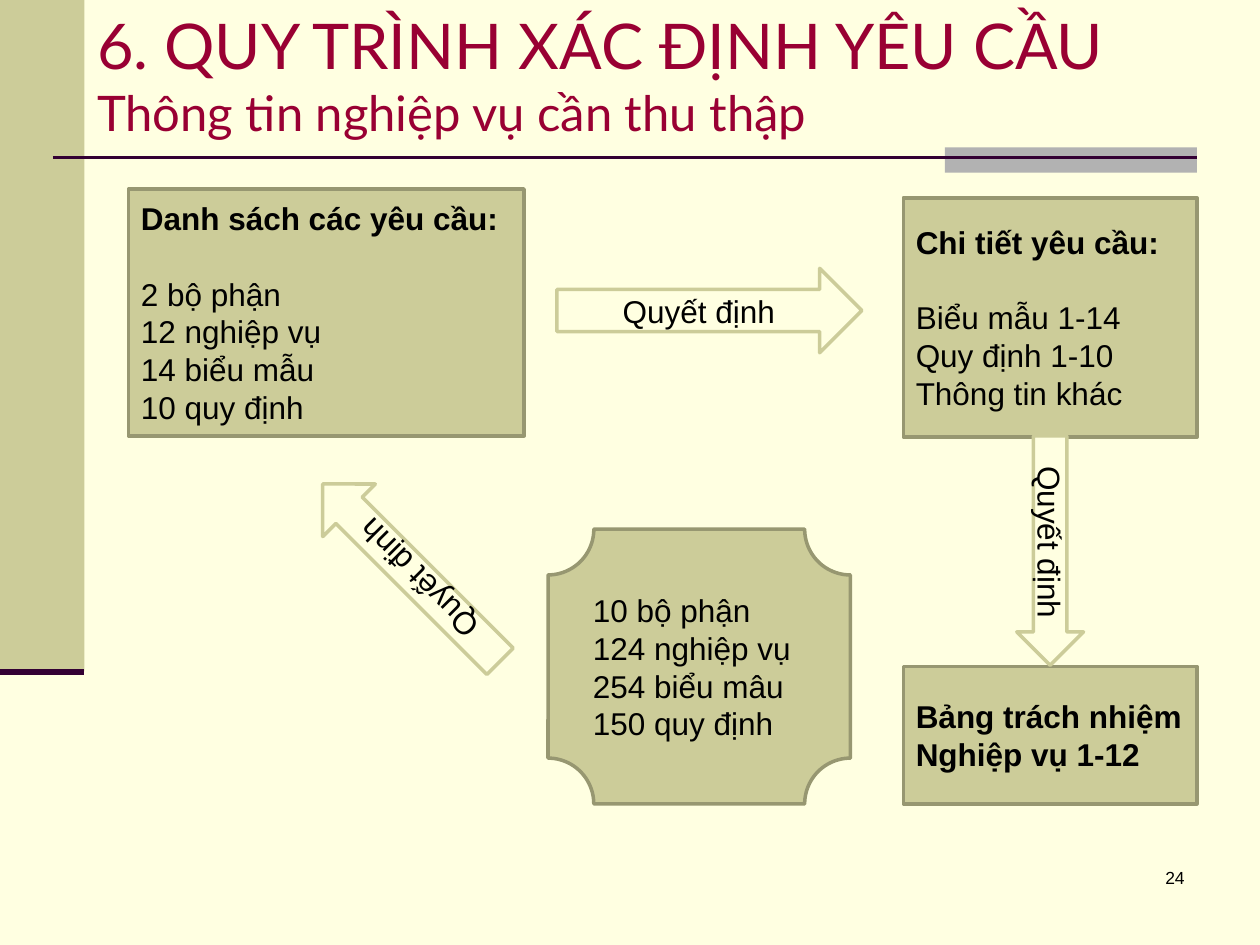
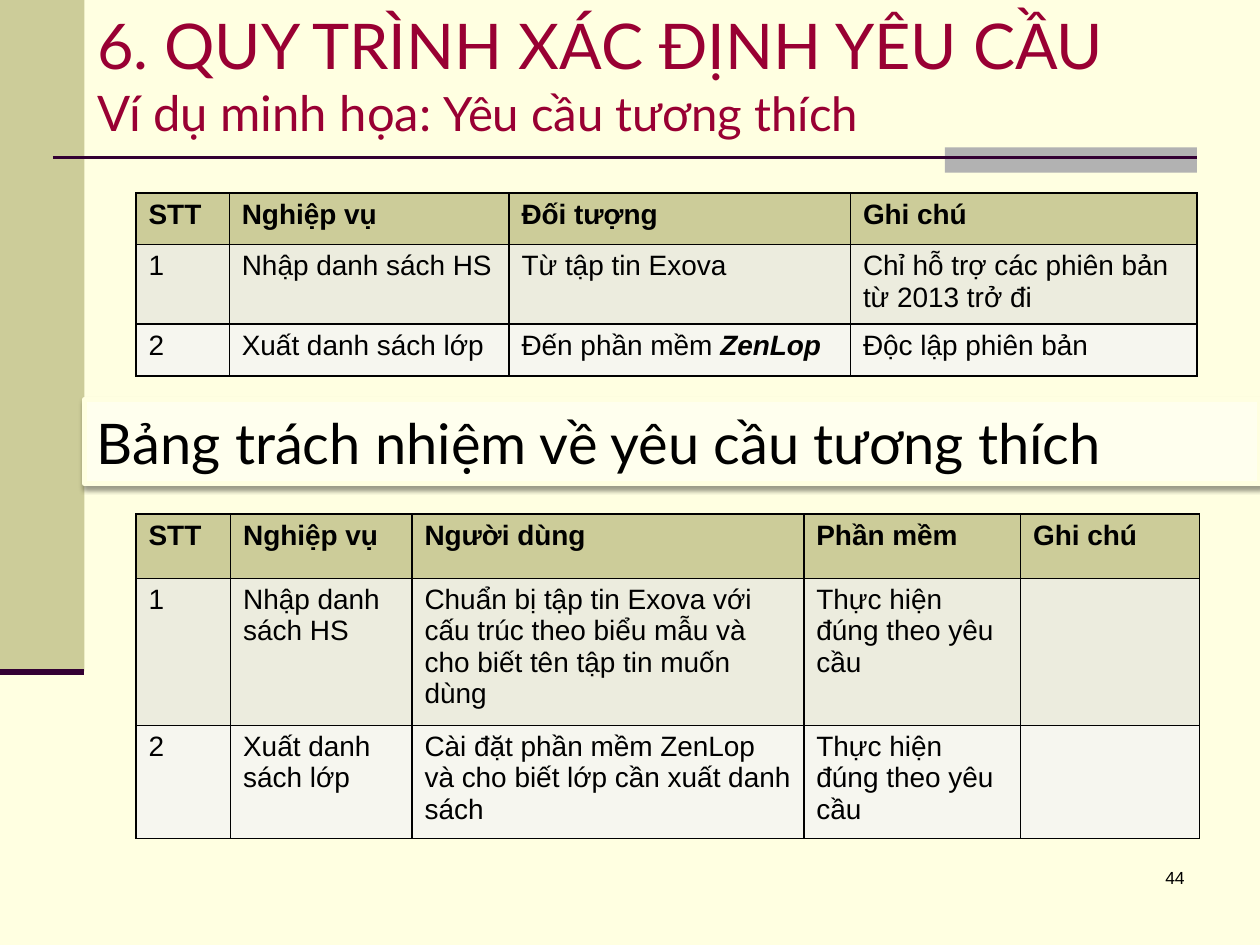
from copy import deepcopy
from dataclasses import dataclass
from lxml.etree import SubElement
from pptx import Presentation
from pptx.dml.color import RGBColor
from pptx.enum.shapes import MSO_CONNECTOR, MSO_SHAPE as SHAPE
from pptx.enum.text import MSO_ANCHOR as ANCHOR, MSO_AUTO_SIZE, PP_ALIGN as ALIGN
from pptx.oxml.ns import qn
from pptx.util import Inches, Pt


@dataclass(frozen=True)
class Theme:
    paper: str = "FFFFE1"
    khaki: str = "CCCC99"
    olive: str = "979771"
    grey: str = "B2B2B2"
    plum: str = "330033"
    crimson: str = "990033"
    ink: str = "000000"
    cream: str = "FFFFEE"
    rows: tuple = ("ECECDE", "F6F6EF")
    body_font: str = "Arial"
    head_font: str = "Lato"
    title: int = 36
    subtitle: int = 28
    subtitle_tail: int = 27
    banner: int = 32
    body: int = 18
    cell: int = 16
    number: int = 10


THEME = Theme()
HEADING = "6. QUY TRÌNH XÁC ĐỊNH YÊU CẦU"
DECISION = "Quyết định"

FLOW = {
    "number": "24",
    "subtitle": [("Thông tin nghiệp vụ cần thu thập", THEME.subtitle)],
    "boxes": [
        (SHAPE.RECTANGLE, (1.02, 1.5, 3.14, 1.96), ["Danh sách các yêu cầu:"],
         ["2 bộ phận", "12 nghiệp vụ", "14 biểu mẫu", "10 quy định"]),
        (SHAPE.RECTANGLE, (7.17, 5.29, 2.33, 1.09),
         ["Bảng trách nhiệm", "Nghiệp vụ 1-12"], []),
        (SHAPE.RECTANGLE, (7.17, 1.57, 2.33, 1.9), ["Chi tiết yêu cầu:"],
         ["Biểu mẫu 1-14", "Quy định 1-10", "Thông tin khác"]),
        (SHAPE.PLAQUE, (4.35, 4.2, 2.4, 2.18), [],
         ["10 bộ phận", "124 nghiệp vụ", "254 biểu mâu", "150 quy định"]),
    ],
    "arrows": [
        (SHAPE.RIGHT_ARROW, (4.42, 2.13, 2.42, 0.67), 0),
        (SHAPE.DOWN_ARROW, (8.07, 3.46, 0.53, 1.82), 0),
        (SHAPE.DOWN_ARROW, (2.97, 3.55, 0.59, 1.99), 135),
    ],
}

COMPATIBILITY = {
    "number": "44",
    "subtitle": [("Ví dụ minh họa: ", THEME.subtitle),
                 ("Yêu cầu tương thích", THEME.subtitle_tail)],
    "banner": "Bảng trách nhiệm về yêu cầu tương thích",
    "tables": [
        {
            "top": 1.53,
            "columns": [0.74, 2.22, 2.71, 2.75],
            "heights": [0.41, 0.41, 0.41],
            "rows": [
                ["STT", "Nghiệp vụ", "Đối tượng", "Ghi chú"],
                ["1", "Nhập danh sách HS", "Từ tập tin Exova",
                 "Chỉ hỗ trợ các phiên bản từ 2013 trở đi"],
                ["2", "Xuất danh sách lớp", ("Đến phần mềm ", "ZenLop"),
                 "Độc lập phiên bản"],
            ],
        },
        {
            "top": 4.08,
            "columns": [0.75, 1.44, 3.11, 1.72, 1.42],
            "heights": [0.51, 0.89, 0.89],
            "rows": [
                ["STT", "Nghiệp vụ", "Người dùng", "Phần mềm", "Ghi chú"],
                ["1", "Nhập danh sách HS",
                 "Chuẩn bị tập tin Exova với cấu trúc theo biểu mẫu "
                 "và cho biết tên tập tin muốn dùng",
                 "Thực hiện đúng theo yêu cầu", ""],
                ["2", "Xuất danh sách lớp",
                 "Cài đặt phần mềm ZenLop và cho biết lớp cần xuất danh sách",
                 "Thực hiện đúng theo yêu cầu", ""],
            ],
        },
    ],
}


def rgb(color):
    return RGBColor.from_string(color)


def inches(values):
    return [Inches(value) for value in values]


def write(paragraph, text, size, font=THEME.body_font, color=THEME.ink,
          bold=False, italic=False):
    run = paragraph.add_run()
    run.text = text
    run.font.size = Pt(size)
    run.font.name = font
    run.font.color.rgb = rgb(color)
    run.font.bold = bold
    run.font.italic = italic
    return run


def add_block(slide, kind, place, fill, line=None, width=2):
    block = slide.shapes.add_shape(kind, *inches(place))
    block.shadow.inherit = False
    block.fill.solid()
    block.fill.fore_color.rgb = rgb(fill)
    if line:
        block.line.color.rgb = rgb(line)
        block.line.width = Pt(width)
    else:
        block.line.fill.background()
    block.text_frame.word_wrap = True
    block.text_frame.vertical_anchor = ANCHOR.MIDDLE
    block.text_frame.paragraphs[0].alignment = ALIGN.LEFT
    return block


def add_rule(slide, ends, width):
    rule = slide.shapes.add_connector(MSO_CONNECTOR.STRAIGHT, *inches(ends))
    rule.line.color.rgb = rgb(THEME.plum)
    rule.line.width = Pt(width)
    SubElement(rule._element.spPr, qn("a:effectLst"))


def add_title(slide, subtitle):
    title = slide.shapes.title
    title.left, title.top, title.width, title.height = inches((0.67, 0, 9.33, 1.17))
    frame = title.text_frame
    frame.auto_size = MSO_AUTO_SIZE.NONE
    frame.vertical_anchor = ANCHOR.MIDDLE
    line = frame.paragraphs[0]
    line.alignment = ALIGN.LEFT
    heading = write(line, HEADING, THEME.title, THEME.head_font, THEME.crimson)
    line.add_line_break()
    line._p.find(qn("a:br")).append(deepcopy(heading._r.rPr))
    for text, size in subtitle:
        write(line, text, size, THEME.head_font, THEME.crimson)


def start_slide(deck, content):
    slide = deck.slides.add_slide(deck.slide_layouts[5])
    add_block(slide, SHAPE.RECTANGLE, (0, 0, 0.67, 5.33), THEME.khaki)
    add_block(slide, SHAPE.RECTANGLE, (7.5, 1.17, 2, 0.2), THEME.grey)
    add_rule(slide, (0.42, 1.25, 9.5, 1.25), 1.5)
    add_rule(slide, (0, 5.33, 0.67, 5.33), 3.5)
    add_title(slide, content["subtitle"])
    number = slide.shapes.add_textbox(*inches((7.42, 6.83, 2.08, 0.5)))
    number.text_frame.word_wrap = True
    line = number.text_frame.paragraphs[0]
    line.alignment = ALIGN.RIGHT
    write(line, content["number"], THEME.number)
    return slide


def add_box(slide, kind, place, heads, items):
    frame = add_block(slide, kind, place, THEME.khaki, THEME.olive).text_frame
    for index, text in enumerate(heads + items):
        line = frame.add_paragraph() if index else frame.paragraphs[0]
        line.alignment = ALIGN.LEFT
        if heads and index == len(heads):
            line.space_before = Pt(21.5)
        write(line, text, THEME.body, bold=index < len(heads))


def add_arrow(slide, kind, place, rotation):
    arrow = add_block(slide, kind, place, THEME.paper, THEME.khaki)
    arrow.rotation = rotation
    if kind == SHAPE.DOWN_ARROW:
        arrow.text_frame._txBody.bodyPr.set("vert", "vert")
    line = arrow.text_frame.paragraphs[0]
    line.alignment = ALIGN.CENTER
    write(line, DECISION, THEME.body)


def add_borders(cell):
    properties = cell._tc.get_or_add_tcPr()
    for side in ("lnL", "lnR", "lnT", "lnB"):
        border = SubElement(properties, qn(f"a:{side}"), w=str(Pt(1)))
        paint = SubElement(border, qn("a:solidFill"))
        SubElement(paint, qn("a:srgbClr"), val=THEME.ink)


def add_grid(slide, top, columns, heights, rows):
    place = inches((1.08, top, sum(columns), sum(heights)))
    grid = slide.shapes.add_table(len(rows), len(columns), *place).table
    for column, width in zip(grid.columns, columns):
        column.width = Inches(width)
    for row, height in zip(grid.rows, heights):
        row.height = Inches(height)
    for r, row in enumerate(rows):
        for c, content in enumerate(row):
            cell = grid.cell(r, c)
            add_borders(cell)
            cell.fill.solid()
            cell.fill.fore_color.rgb = rgb(THEME.rows[r - 1] if r else THEME.khaki)
            line = cell.text_frame.paragraphs[0]
            plain, stressed = content if isinstance(content, tuple) else (content, "")
            if plain:
                write(line, plain, THEME.cell, bold=r == 0)
            if stressed:
                write(line, stressed, THEME.cell, bold=True, italic=True)


def add_banner(slide, text):
    banner = add_block(slide, SHAPE.RECTANGLE, (0.67, 3.17, 9.33, 0.67),
                       THEME.cream, THEME.paper, 3)
    effects = banner._element.spPr.find(qn("a:effectLst"))
    shadow = SubElement(effects, qn("a:outerShdw"), blurRad=str(Pt(3.1)),
                        dist=str(Pt(1.6)), dir="5400000", rotWithShape="0")
    tint = SubElement(shadow, qn("a:srgbClr"), val=THEME.ink)
    SubElement(tint, qn("a:alpha"), val="38000")
    write(banner.text_frame.paragraphs[0], text, THEME.banner, THEME.head_font)


def main():
    deck = Presentation()
    deck.slide_width, deck.slide_height = inches((10, 7.5))
    backdrop = deck.slide_master.background.fill
    backdrop.solid()
    backdrop.fore_color.rgb = rgb(THEME.paper)

    flow = start_slide(deck, FLOW)
    for box in FLOW["boxes"]:
        add_box(flow, *box)
    for arrow in FLOW["arrows"]:
        add_arrow(flow, *arrow)

    compatibility = start_slide(deck, COMPATIBILITY)
    add_banner(compatibility, COMPATIBILITY["banner"])
    for table in COMPATIBILITY["tables"]:
        add_grid(compatibility, **table)

    deck.save("out.pptx")


if __name__ == "__main__":
    main()
